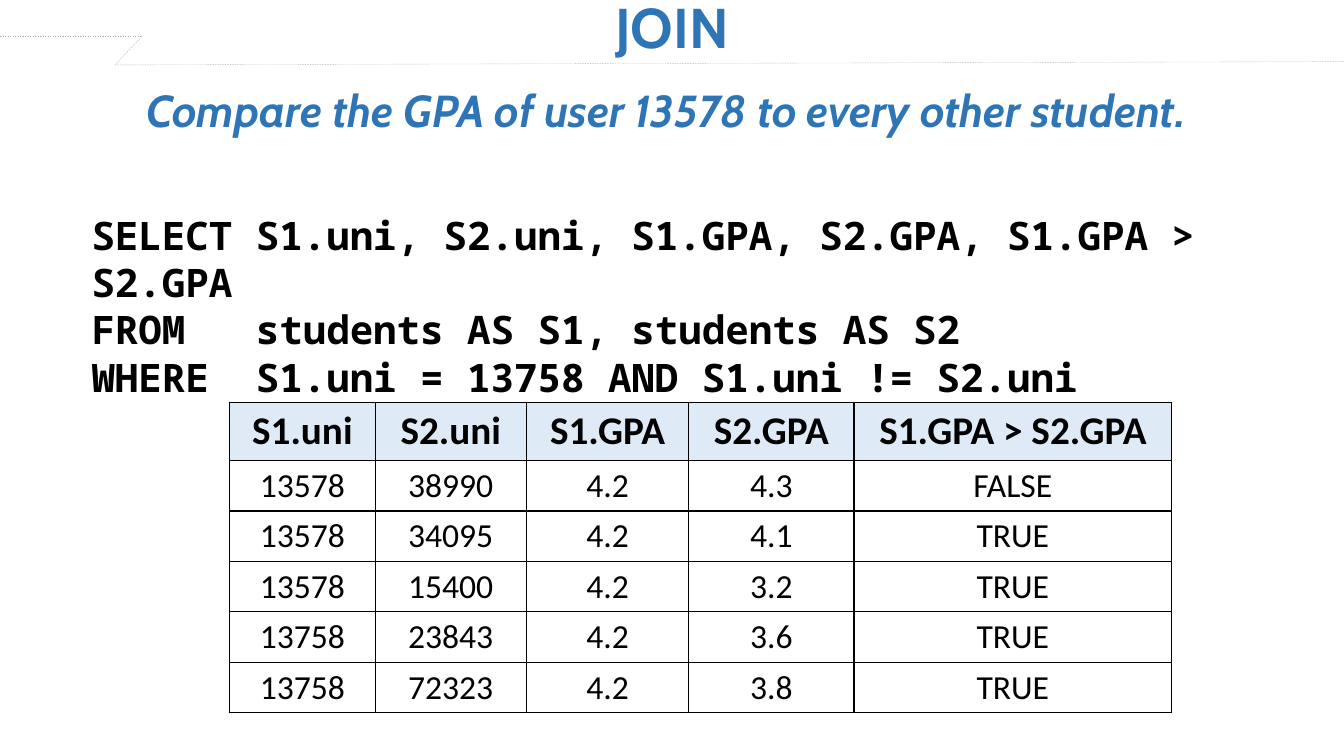
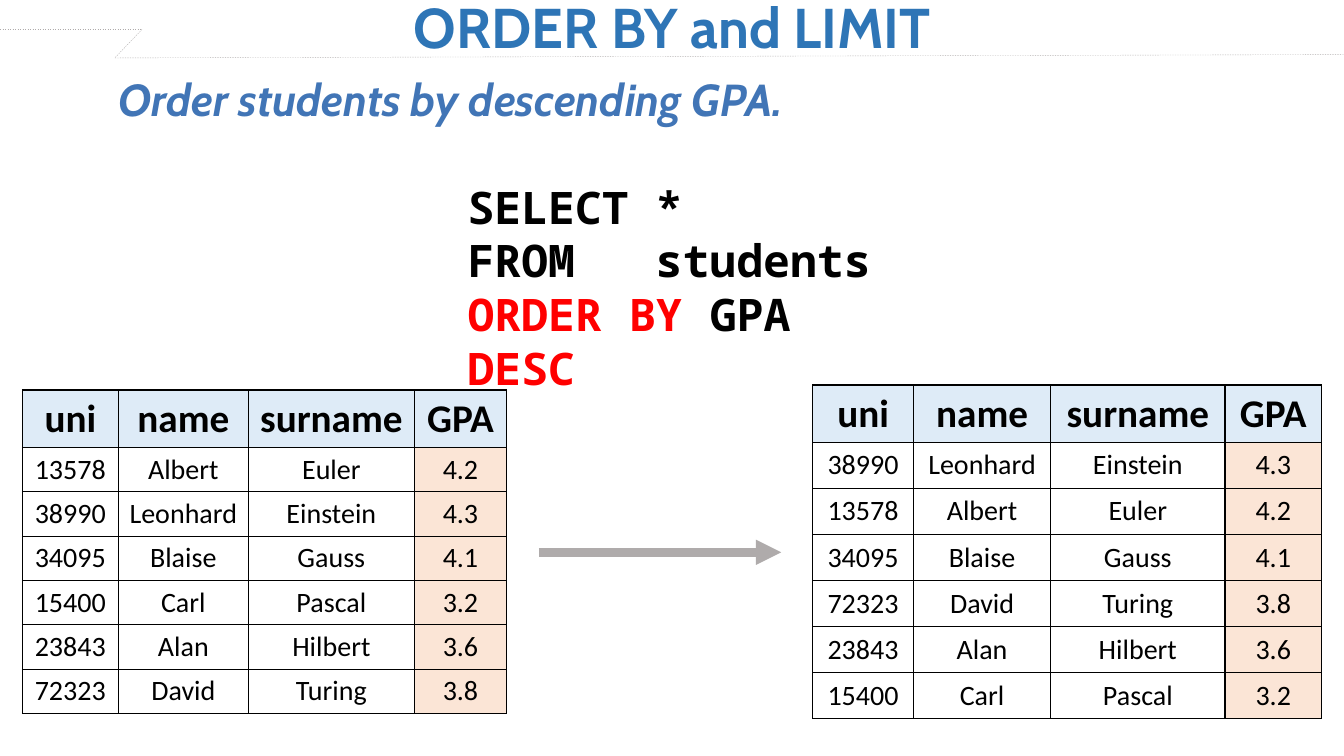
from lxml import etree
from pptx import Presentation
from pptx.dml.color import RGBColor
from pptx.enum import dml, shapes, text
from pptx.oxml import ns
from pptx.util import Pt

COLORS = {
    "title": "2E75B6",
    "order": "4175B6",
    "ink": "000000",
    "keyword": "FF0000",
    "rule": "AFABAB",
    "header": "DEEBF7",
    "highlight": "FBE5D6",
}
HEADING, BODY, CODE = "Cabin", "Calibri", "Noto Sans Mono"
WIDTH, HEIGHT = 960, 540

COMPARISON = [
    ("S1.uni", "S2.uni", "S1.GPA", "S2.GPA", "S1.GPA > S2.GPA"),
    ("13578", "38990", "4.2", "4.3", "FALSE"),
    ("13578", "34095", "4.2", "4.1", "TRUE"),
    ("13578", "15400", "4.2", "3.2", "TRUE"),
    ("13758", "23843", "4.2", "3.6", "TRUE"),
    ("13758", "72323", "4.2", "3.8", "TRUE"),
]
STUDENT_HEADER = ("uni", "name", "surname", "GPA")
STUDENTS = [
    ("13578", "Albert", "Euler", "4.2"),
    ("38990", "Leonhard", "Einstein", "4.3"),
    ("34095", "Blaise", "Gauss", "4.1"),
    ("15400", "Carl", "Pascal", "3.2"),
    ("23843", "Alan", "Hilbert", "3.6"),
    ("72323", "David", "Turing", "3.8"),
]


def rgb(name):
    return RGBColor.from_string(COLORS[name])


# Text
def add_span(para, words, size, font, color="ink", bold=True, italic=False):
    span = para.add_run()
    span.text = words
    span.font.size = Pt(size)
    span.font.name = font
    span.font.bold = bold
    span.font.italic = italic
    span.font.color.rgb = rgb(color)


def add_box(page, left, top, width, height):
    box = page.shapes.add_textbox(Pt(left), Pt(top), Pt(width), Pt(height))
    frame = box.text_frame
    frame.word_wrap = True
    frame.auto_size = text.MSO_AUTO_SIZE.SHAPE_TO_FIT_TEXT
    return frame


def add_heading(page, words, place, size, color="title", italic=False):
    para = add_box(page, *place).paragraphs[0]
    para.alignment = text.PP_ALIGN.CENTER
    add_span(para, words, size, HEADING, color, italic=italic)


def add_code(page, lines, place, size):
    """Each line is a list of (words, color) pairs."""
    frame = add_box(page, *place)
    for index, line in enumerate(lines):
        para = frame.add_paragraph() if index else frame.paragraphs[0]
        for words, color in line:
            add_span(para, words, size, CODE, color)


# Lines
def add_line(page, start, end, weight, dashed=False, arrow=False):
    line = page.shapes.add_connector(
        shapes.MSO_CONNECTOR.STRAIGHT, *(Pt(value) for value in start + end))
    line.line.color.rgb = rgb("rule")
    line.line.width = Pt(weight)
    if dashed:
        line.line.dash_style = dml.MSO_LINE.DASH
    properties = line._element.spPr
    if arrow:
        etree.SubElement(properties.find(ns.qn("a:ln")), ns.qn("a:tailEnd"), type="triangle")
    etree.SubElement(properties, ns.qn("a:effectLst"))


def add_title_band(page, title, top):
    add_heading(page, title, (0, -8.6, WIDTH, 55.4), 40)
    points = [(0, top), (101.5, top), (82, top + 20.4), (WIDTH, top + 18)]
    for start, end in zip(points, points[1:]):
        add_line(page, start, end, 0.25, dashed=True)


# Tables
def add_borders(cell):
    properties = cell._tc.get_or_add_tcPr()
    for index, side in enumerate(("lnL", "lnR", "lnT", "lnB")):
        border = etree.Element(ns.qn("a:" + side), w=str(Pt(1)))
        fill = etree.SubElement(border, ns.qn("a:solidFill"))
        etree.SubElement(fill, ns.qn("a:srgbClr"), val=COLORS["ink"])
        properties.insert(index, border)


def add_grid(page, rows, left, top, widths, header_height, row_height, size, highlight=None):
    heights = [header_height] + [row_height] * (len(rows) - 1)
    table = page.shapes.add_table(
        len(rows), len(widths), Pt(left), Pt(top), Pt(sum(widths)), Pt(sum(heights))).table
    table.first_row = table.horz_banding = False
    for column, width in zip(table.columns, widths):
        column.width = Pt(width)
    for row, height in zip(table.rows, heights):
        row.height = Pt(height)
    for i, values in enumerate(rows):
        for j, words in enumerate(values):
            cell = table.cell(i, j)
            cell.vertical_anchor = text.MSO_ANCHOR.MIDDLE
            if i == 0 or j == highlight:
                cell.fill.solid()
                cell.fill.fore_color.rgb = rgb("highlight" if i else "header")
            else:
                cell.fill.background()
            add_borders(cell)
            para = cell.text_frame.paragraphs[0]
            para.alignment = text.PP_ALIGN.CENTER
            add_span(para, words, size if i else 28, BODY, bold=i == 0)


# Slides
def build_join(page):
    add_title_band(page, "JOIN", 26)
    add_heading(page, "Compare the GPA of user 13578 to every other student.",
                (0, 55.4, 952, 46), 32, italic=True)
    add_code(page, [
        [("SELECT S1.uni, S2.uni, S1.GPA, S2.GPA, S1.GPA > S2.GPA", "ink")],
        [("FROM   students AS S1, students AS S2", "ink")],
        [("WHERE  S1.uni = 13758 AND S1.uni != S2.uni", "ink")],
    ], (58.3, 147.6, 884, 108.7), 28)
    add_grid(page, COMPARISON, 164, 287.6, (104, 108, 116, 118, 227), 41.4, 36, 24)


def build_order(page):
    add_title_band(page, "ORDER BY and LIMIT", 21)
    add_heading(page, "Order students by descending GPA.",
                (0, 47.5, 644.4, 46), 32, "order", italic=True)
    add_code(page, [
        [("SELECT *", "ink")],
        [("FROM   students", "ink")],
        [("ORDER BY ", "keyword"), ("GPA ", "ink"), ("DESC", "keyword")],
    ], (326.9, 124.6, 316.8, 123.8), 32)
    ranked = sorted(STUDENTS, key=lambda student: float(student[-1]), reverse=True)
    add_grid(page, [STUDENT_HEADER] + STUDENTS, 16, 278.6,
             (68.5, 93, 118.5, 66), 41, 31.7, 20, highlight=3)
    add_grid(page, [STUDENT_HEADER] + ranked, 580.5, 275,
             (72, 98, 124.5, 69), 41, 32.9, 20, highlight=3)
    add_line(page, (385, 394.5), (558, 394.5), 6, arrow=True)


def main():
    deck = Presentation()
    deck.slide_width, deck.slide_height = Pt(WIDTH), Pt(HEIGHT)
    for build in (build_join, build_order):
        build(deck.slides.add_slide(deck.slide_layouts[6]))
    deck.save("out.pptx")


if __name__ == "__main__":
    main()
